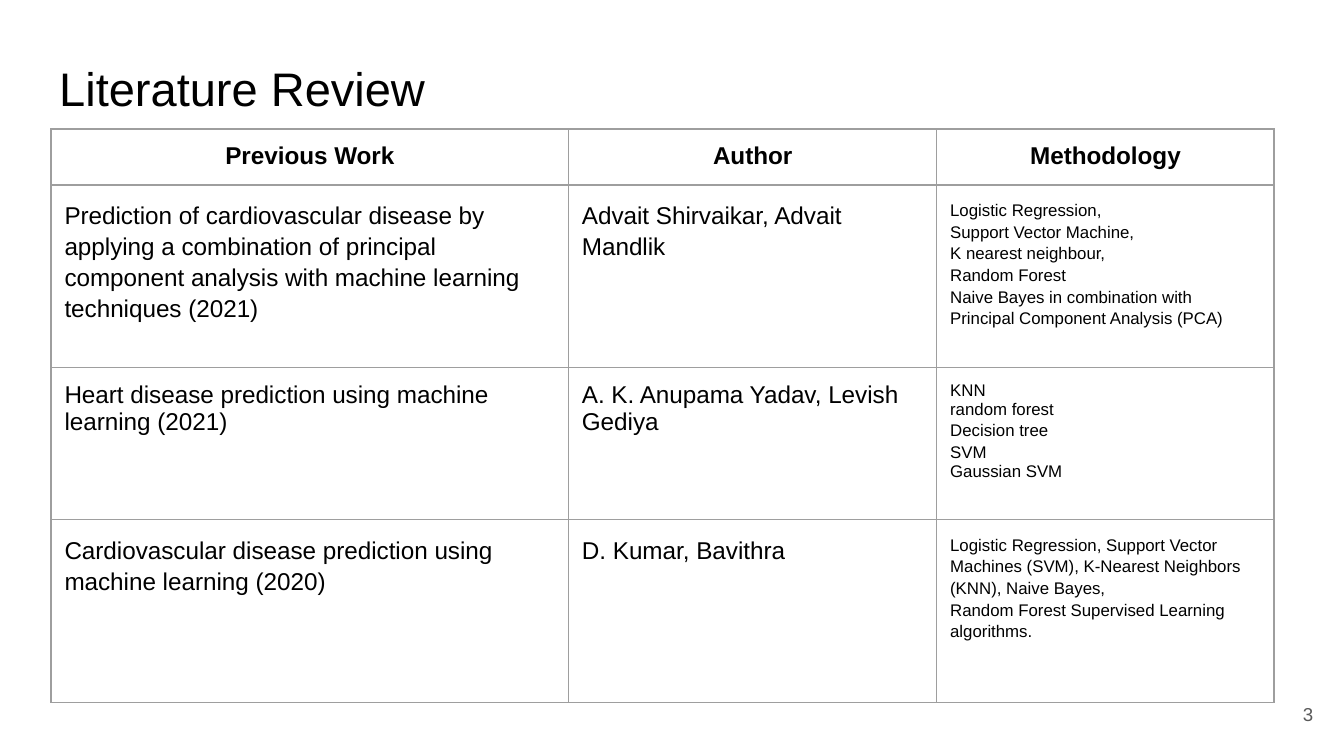
from lxml.etree import SubElement
from pptx import Presentation
from pptx.dml.color import RGBColor
from pptx.enum.text import MSO_ANCHOR, PP_ALIGN
from pptx.oxml.ns import qn
from pptx.util import Inches, Pt

COLORS = {"text": "000000", "number": "595959", "border": "9E9E9E", "paper": "FFFFFF"}
FONT = "Arial"
LOOSE = 1.15
INSET = Inches(0.1)

TITLE = "Literature Review"
PAGE = "3"
HEADERS = ["Previous Work", "Author", "Methodology"]
STUDIES = [
    ("Prediction of cardiovascular disease by applying a combination of principal "
     "component analysis with machine learning techniques (2021)",
     "Advait Shirvaikar, Advait Mandlik",
     ["Logistic Regression,", "Support Vector Machine,", "K nearest neighbour,", "Random Forest",
      "Naive Bayes in combination with Principal Component Analysis (PCA)"]),
    ("Heart disease prediction using machine learning (2021)",
     "A. K. Anupama Yadav, Levish Gediya",
     ["KNN", "random forest", "Decision tree", "SVM", "Gaussian SVM"]),
    ("Cardiovascular disease prediction using machine learning (2020)",
     "D. Kumar, Bavithra",
     ["Logistic Regression, Support Vector Machines (SVM), K-Nearest Neighbors (KNN), Naive Bayes,",
      "Random Forest Supervised Learning algorithms."]),
]
SINGLE_SPACED = {*STUDIES[1][:2], "KNN", "random forest", "Gaussian SVM"}
COL_WIDTHS = [3.85, 2.74, 2.51]
ROW_HEIGHTS = [0.41, 1.36, 1.13, 1.36]


def style(p, size, color="text", bold=False, align=PP_ALIGN.LEFT):
    p.alignment = align
    p.font.name = FONT
    p.font.size = Pt(size)
    p.font.bold = bold
    p.font.color.rgb = RGBColor.from_string(COLORS[color])


def set_insets(box):
    box.margin_left = box.margin_right = box.margin_top = box.margin_bottom = INSET


def add_borders(cell):
    tc_pr = cell._tc.get_or_add_tcPr()
    for side in ("a:lnL", "a:lnR", "a:lnT", "a:lnB"):
        ln = SubElement(tc_pr, qn(side), w=str(Pt(0.75)))
        fill = SubElement(ln, qn("a:solidFill"))
        SubElement(fill, qn("a:srgbClr"), val=COLORS["border"])


def fill_cell(cell, lines, size, header):
    set_insets(cell)
    add_borders(cell)
    cell.fill.solid()
    cell.fill.fore_color.rgb = RGBColor.from_string(COLORS["paper"])
    tf = cell.text_frame
    tf.text = "\n".join(lines)
    for p, line in zip(tf.paragraphs, lines):
        style(p, size, bold=header, align=PP_ALIGN.CENTER if header else PP_ALIGN.LEFT)
        if not header and line not in SINGLE_SPACED:
            p.line_spacing = LOOSE


def add_title(slide):
    sp = slide.shapes.title
    sp.left, sp.top, sp.width, sp.height = (Inches(v) for v in (0.34, 0.34, 9.32, 0.63))
    tf = sp.text_frame
    tf.text = TITLE
    tf.vertical_anchor = MSO_ANCHOR.TOP
    set_insets(tf)
    style(tf.paragraphs[0], 25.2)


def add_studies(slide):
    rows = [HEADERS, *STUDIES]
    table = slide.shapes.add_table(
        len(rows), len(HEADERS), Inches(0.38), Inches(0.96),
        Inches(sum(COL_WIDTHS)), Inches(sum(ROW_HEIGHTS))).table
    for col, width in zip(table.columns, COL_WIDTHS):
        col.width = Inches(width)
    for row, height in zip(table.rows, ROW_HEIGHTS):
        row.height = Inches(height)
    for r, values in enumerate(rows):
        for c, value in enumerate(values):
            is_list = isinstance(value, list)
            fill_cell(table.cell(r, c), value if is_list else [value],
                      9 if is_list else 13, header=r == 0)


def add_page_number(slide):
    sp = slide.shapes.add_textbox(Inches(9.27), Inches(5.1), Inches(0.6), Inches(0.43))
    tf = sp.text_frame
    tf.word_wrap = True
    tf.text = PAGE
    tf.vertical_anchor = MSO_ANCHOR.MIDDLE
    set_insets(tf)
    style(tf.paragraphs[0], 10, "number", align=PP_ALIGN.RIGHT)


def main():
    prs = Presentation()
    prs.slide_width = Inches(10)
    prs.slide_height = prs.slide_width * 9 // 16
    slide = prs.slides.add_slide(prs.slide_layouts[5])
    add_title(slide)
    add_page_number(slide)
    add_studies(slide)
    prs.save("out.pptx")


if __name__ == "__main__":
    main()
